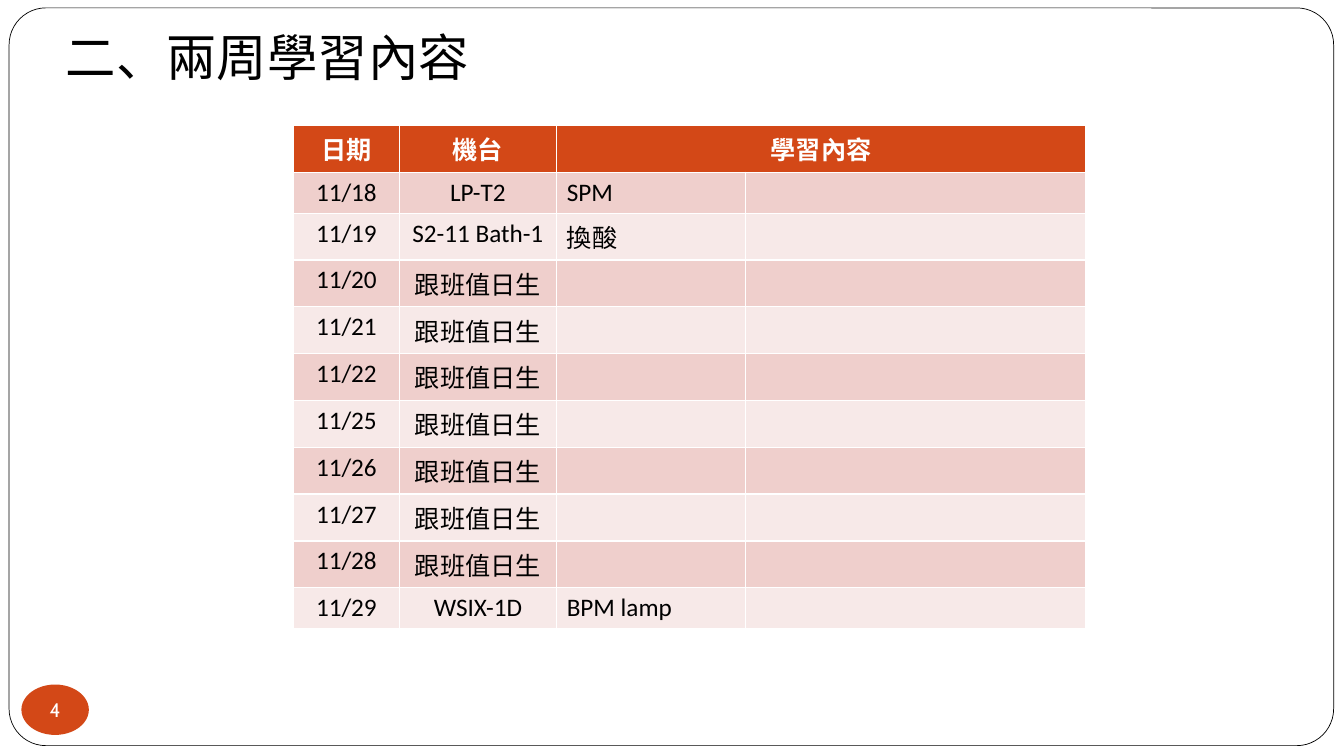
import pptx
import pptx.dml.color
import pptx.enum.shapes
import pptx.enum.text
import pptx.util

Cm = pptx.util.Cm
Pt = pptx.util.Pt
PP_ALIGN = pptx.enum.text.PP_ALIGN
MSO_SHAPE = pptx.enum.shapes.MSO_SHAPE

TITLE = "二、兩周學習內容"
PAGE_NUMBER = "4"
HEADER = ("日期", "機台", "學習內容", "")
DUTY = "跟班值日生"
SCHEDULE = [
    ("11/18", "LP-T2", "SPM", ""),
    ("11/19", "S2-11 Bath-1", "換酸", ""),
    *[(f"11/{day}", DUTY, "", "") for day in (20, 21, 22, 25, 26, 27, 28)],
    ("11/29", "WSIX-1D", "BPM lamp", ""),
]
COLORS = {
    "white": "FFFFFF",
    "black": "000000",
    "accent": "D34817",
    "dark band": "EFCFCC",
    "light band": "F7E9E8",
}
FONT = "Calibri"
COLUMN_WIDTHS = (2.66, 3.97, 4.75, 8.57)
LATIN_ROW, CHINESE_ROW = 1.02, 1.18


def rgb(name):
    return pptx.dml.color.RGBColor.from_string(COLORS[name])


def format_paragraph(paragraph, size, color, align, font=FONT, bold=False):
    paragraph.alignment = align
    paragraph.font.name = font
    paragraph.font.size = Pt(size)
    paragraph.font.bold = bold
    paragraph.font.color.rgb = rgb(color)


def add_filled_shape(slide, kind, box, fill):
    shape = slide.shapes.add_shape(kind, *map(Cm, box))
    shape.shadow.inherit = False
    shape.fill.solid()
    shape.fill.fore_color.rgb = rgb(fill)
    return shape


def add_frame(slide):
    frame = add_filled_shape(slide, MSO_SHAPE.ROUNDED_RECTANGLE, (0.23, 0.2, 33.38, 18.59), "white")
    frame.adjustments[0] = 0.05
    frame.line.color.rgb = rgb("black")
    frame.line.width = Pt(0.5)


def add_page_number(slide):
    badge = add_filled_shape(slide, MSO_SHAPE.OVAL, (0.54, 17.25, 1.7, 1.27), "accent")
    badge.line.fill.background()
    text = badge.text_frame
    text.margin_left = text.margin_right = text.margin_top = text.margin_bottom = 0
    text.word_wrap = False
    text.vertical_anchor = pptx.enum.text.MSO_ANCHOR.MIDDLE
    text.text = PAGE_NUMBER
    format_paragraph(text.paragraphs[0], 14, "white", PP_ALIGN.CENTER, font="Cabin")


def add_schedule(slide):
    rows = [HEADER, *SCHEDULE]
    heights = [LATIN_ROW if "".join(row).isascii() else CHINESE_ROW for row in rows]
    table = slide.shapes.add_table(
        len(rows), len(HEADER), Cm(7.4), Cm(3.16), Cm(sum(COLUMN_WIDTHS)), Cm(sum(heights))
    ).table
    for column, width in zip(table.columns, COLUMN_WIDTHS):
        column.width = Cm(width)
    for i, (row, height) in enumerate(zip(rows, heights)):
        table.rows[i].height = Cm(height)
        is_header = i == 0
        fill = "accent" if is_header else "dark band" if i % 2 else "light band"
        for j, text in enumerate(row):
            cell = table.cell(i, j)
            cell.fill.solid()
            cell.fill.fore_color.rgb = rgb(fill)
            cell.text = text
            align = PP_ALIGN.CENTER if is_header or j < 2 else PP_ALIGN.LEFT
            color = "white" if is_header else "black"
            format_paragraph(cell.text_frame.paragraphs[0], 18, color, align, bold=is_header)
    table.cell(0, 2).merge(table.cell(0, 3))


def place_title(slide):
    """Fill the title and bring it in front of the frame."""
    title = slide.shapes.title
    title.left, title.top, title.width, title.height = map(Cm, (1.4, 0.53, 11.05, 1.8))
    text = title.text_frame
    text.text = TITLE
    text.word_wrap = False
    text.auto_size = pptx.enum.text.MSO_AUTO_SIZE.NONE
    text.vertical_anchor = pptx.enum.text.MSO_ANCHOR.TOP
    format_paragraph(text.paragraphs[0], 36, "black", PP_ALIGN.LEFT)
    title.element.getparent().append(title.element)


def main():
    presentation = pptx.Presentation()
    presentation.slide_width, presentation.slide_height = Cm(33.87), Cm(19.05)
    slide = presentation.slides.add_slide(presentation.slide_layouts[5])
    add_frame(slide)
    add_page_number(slide)
    add_schedule(slide)
    place_title(slide)
    presentation.save("out.pptx")


if __name__ == "__main__":
    main()
